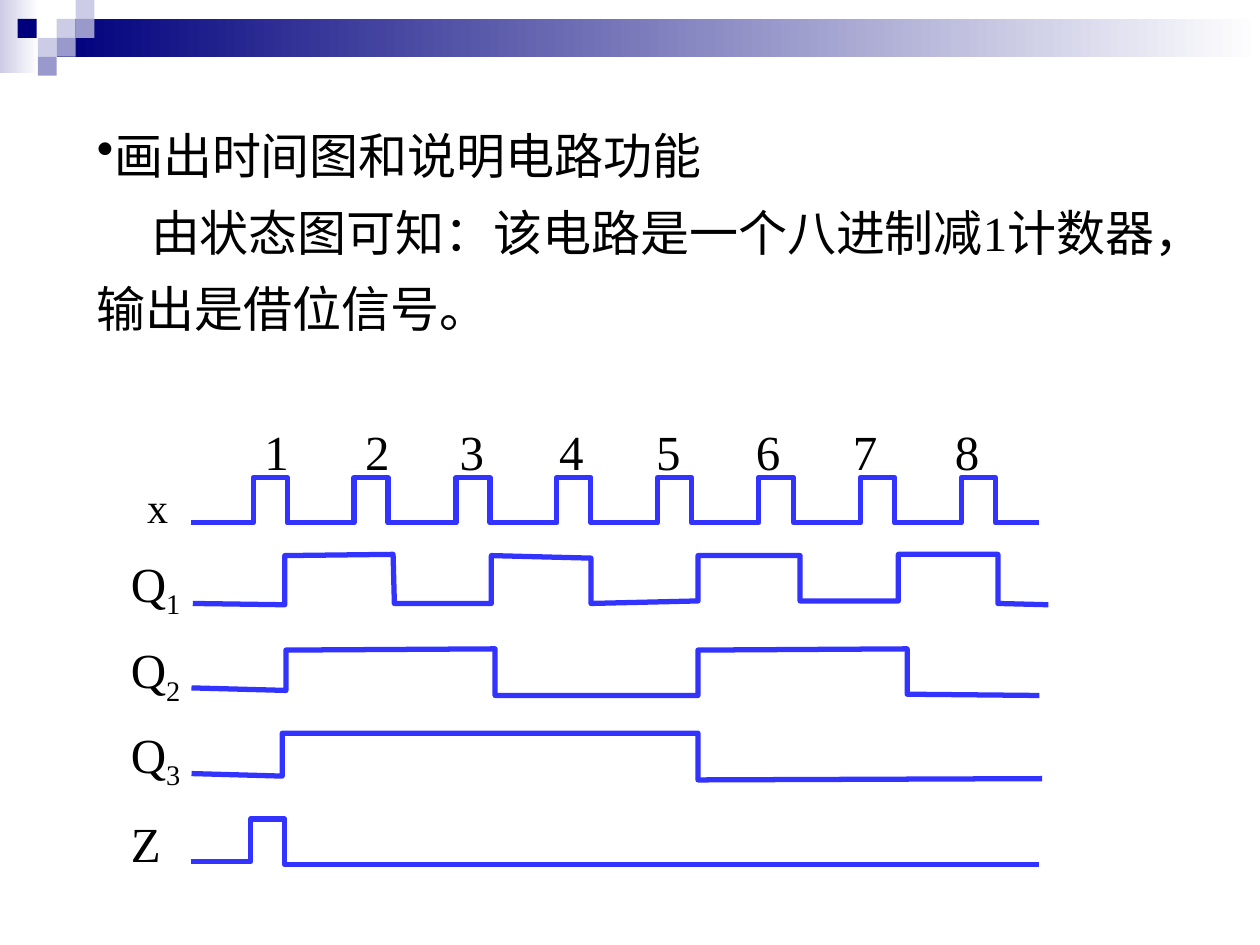
from pptx import Presentation
from pptx.dml.color import RGBColor
from pptx.enum.shapes import MSO_SHAPE
from pptx.enum.text import MSO_AUTO_SIZE
from pptx.oxml.ns import qn
from pptx.util import Inches, Pt
from lxml import etree

RECTANGLE = MSO_SHAPE.RECTANGLE
FIT_SHAPE = MSO_AUTO_SIZE.SHAPE_TO_FIT_TEXT
FONT = "Times New Roman"
COLORS = {"navy": "00007D", "mid": "9999CC", "pale": "CCCCE6",
          "white": "FFFFFF", "wave": "3333FF", "text": "000000"}

HEADING = "画出时间图和说明电路功能"
EXPLANATION = "由状态图可知：该电路是一个八进制减1计数器，输出是借位信号。"

# Header: gradient bars, then small squares as (left, top, colour)
BARS = [(0, 0, 0.31, 0.58, "pale"), (0.45, 0.15, 9.55, 0.3, "navy")]
SQUARE = 0.15
SQUARES = [(0.45, 0.15, "pale"), (0.6, 0, "pale"), (0.6, 0.15, "mid"),
           (0.3, 0.3, "pale"), (0.14, 0.15, "navy"), (0.45, 0.3, "mid"),
           (0.3, 0.45, "mid")]

# Clock pulses and the left edges of their numbers
PULSE_LEFTS = [2, 2.8, 3.55, 4.34, 5.11, 5.9, 6.67, 7.48]
CLOCK_START, CLOCK_END = 1.52, 8.25
CLOCK_LOW, CLOCK_HIGH = 4.15, 3.79
FIRST_RISE, PERIOD, PULSE_WIDTH = 2.01, 0.803, 0.27

# Signal labels: (text, subscript, left, top, width, height, size)
LABELS = [("x", "", 1.07, 3.82, 0.37, 0.46, 24),
          ("Q", "1", 0.94, 4.34, 0.61, 0.57, 28),
          ("Q", "2", 0.94, 5.03, 0.61, 0.57, 28),
          ("Q", "3", 0.94, 5.7, 0.61, 0.57, 28),
          ("Z", "", 0.94, 6.41, 0.44, 0.57, 28)]

# Output waves as level segments: (start x, start y, end x, end y)
WAVES = {
    "Q1": [(1.53, 4.79, 2.26, 4.8), (2.26, 4.41, 3.12, 4.4),
           (3.13, 4.79, 3.9, 4.79), (3.9, 4.41, 4.69, 4.43),
           (4.69, 4.79, 5.54, 4.77), (5.54, 4.41, 6.35, 4.41),
           (6.35, 4.77, 7.13, 4.77), (7.13, 4.4, 7.92, 4.4),
           (7.92, 4.79, 8.32, 4.8)],
    "Q2": [(1.52, 5.46, 2.27, 5.48), (2.27, 5.16, 3.93, 5.15),
           (3.93, 5.52, 5.54, 5.52), (5.54, 5.16, 7.2, 5.15),
           (7.2, 5.51, 8.25, 5.52)],
    "Q3": [(1.52, 6.14, 2.24, 6.16), (2.24, 5.82, 5.54, 5.82),
           (5.54, 6.19, 8.27, 6.18)],
    "Z": [(1.52, 6.84, 1.99, 6.84), (1.99, 6.5, 2.26, 6.5),
          (2.26, 6.86, 8.25, 6.86)],
}


def rgb(name):
    return RGBColor.from_string(COLORS[name])


def add_block(page, left, top, width, height, color, fade=False):
    block = page.shapes.add_shape(RECTANGLE, Inches(left), Inches(top),
                                  Inches(width), Inches(height))
    block.shadow.inherit = False
    block.line.fill.background()
    if fade:
        block.fill.gradient()
        block.fill.gradient_angle = 0
        for stop, name in zip(block.fill.gradient_stops, (color, "white")):
            stop.color.rgb = rgb(name)
    else:
        block.fill.solid()
        block.fill.fore_color.rgb = rgb(color)


def add_box(page, left, top, width, height, wrap=False):
    box = page.shapes.add_textbox(Inches(left), Inches(top),
                                  Inches(width), Inches(height))
    box.text_frame.word_wrap = wrap
    box.text_frame.auto_size = FIT_SHAPE
    return box.text_frame


def style(para, size):
    for span in para.runs:
        span.font.name = FONT
        span.font.size = Pt(size)
        span.font.color.rgb = rgb("text")


def add_label(page, text, subscript, left, top, width, height, size):
    para = add_box(page, left, top, width, height).paragraphs[0]
    para.text = text
    if subscript:
        span = para.add_run()
        span.text = subscript
        span.font._element.set("baseline", "-25000")
    style(para, size)
    return para


def add_wave(page, segments):
    # Whole hundredths of an inch are the drawing units
    points = [(round(x * 100), round(y * 100))
              for x1, y1, x2, y2 in segments for x, y in ((x1, y1), (x2, y2))]
    builder = page.shapes.build_freeform(*points[0], scale=Inches(0.01))
    builder.add_line_segments(points[1:], close=False)
    wave = builder.convert_to_shape()
    wave.shadow.inherit = False
    wave.fill.background()
    wave.line.color.rgb = rgb("wave")
    wave.line.width = Pt(3)


def clock_segments():
    segments, x = [], CLOCK_START
    for index in range(len(PULSE_LEFTS)):
        rise = FIRST_RISE + index * PERIOD
        fall = rise + PULSE_WIDTH
        segments += [(x, CLOCK_LOW, rise, CLOCK_LOW),
                     (rise, CLOCK_HIGH, fall, CLOCK_HIGH)]
        x = fall
    return segments + [(x, CLOCK_LOW, CLOCK_END, CLOCK_LOW)]


def main():
    deck = Presentation()
    deck.slide_width, deck.slide_height = Inches(10), Inches(7.5)
    page = deck.slides.add_slide(deck.slide_layouts[6])

    # Header decoration
    for bar in BARS:
        add_block(page, *bar, fade=True)
    for left, top, color in SQUARES:
        add_block(page, left, top, SQUARE, SQUARE, color)

    # Explanation: a bullet, then a paragraph with an indented first line
    frame = add_box(page, 0.67, 0.81, 8.78, 1.92, wrap=True)
    frame.text = HEADING + "\n" + EXPLANATION
    heading, explanation = frame.paragraphs
    bullet = etree.SubElement(heading._p.get_or_add_pPr(), qn("a:buChar"))
    bullet.set("char", "•")
    explanation._p.get_or_add_pPr().set("indent", str(Inches(0.43)))
    for para in frame.paragraphs:
        para.line_spacing = 1.3
        style(para, 28)

    # Timing diagram
    add_wave(page, clock_segments())
    for number, left in enumerate(PULSE_LEFTS, start=1):
        add_label(page, str(number), "", left, 3.3, 0.4, 0.57, 28)
    for segments in WAVES.values():
        add_wave(page, segments)
    for label in LABELS:
        para = add_label(page, *label)
        if label[0] == "x":
            para.line_spacing = 0.9

    deck.save("out.pptx")


if __name__ == "__main__":
    main()
